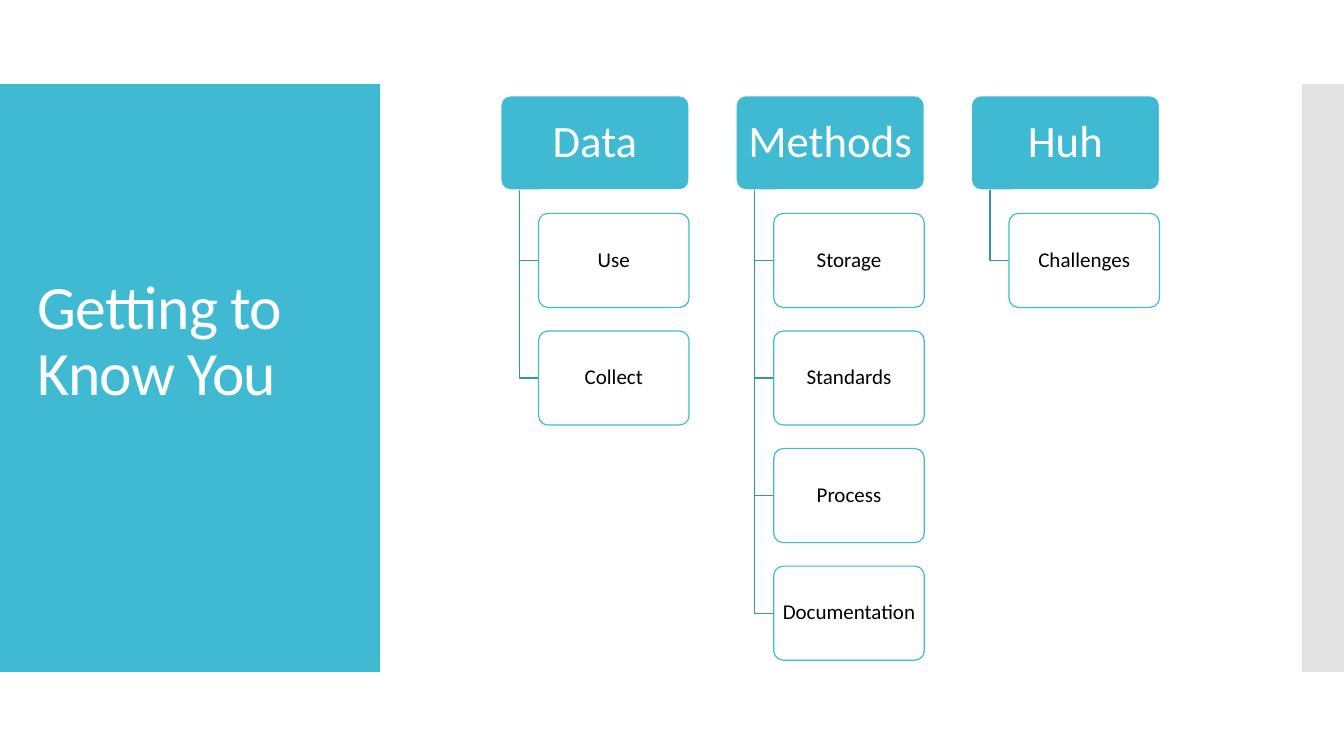
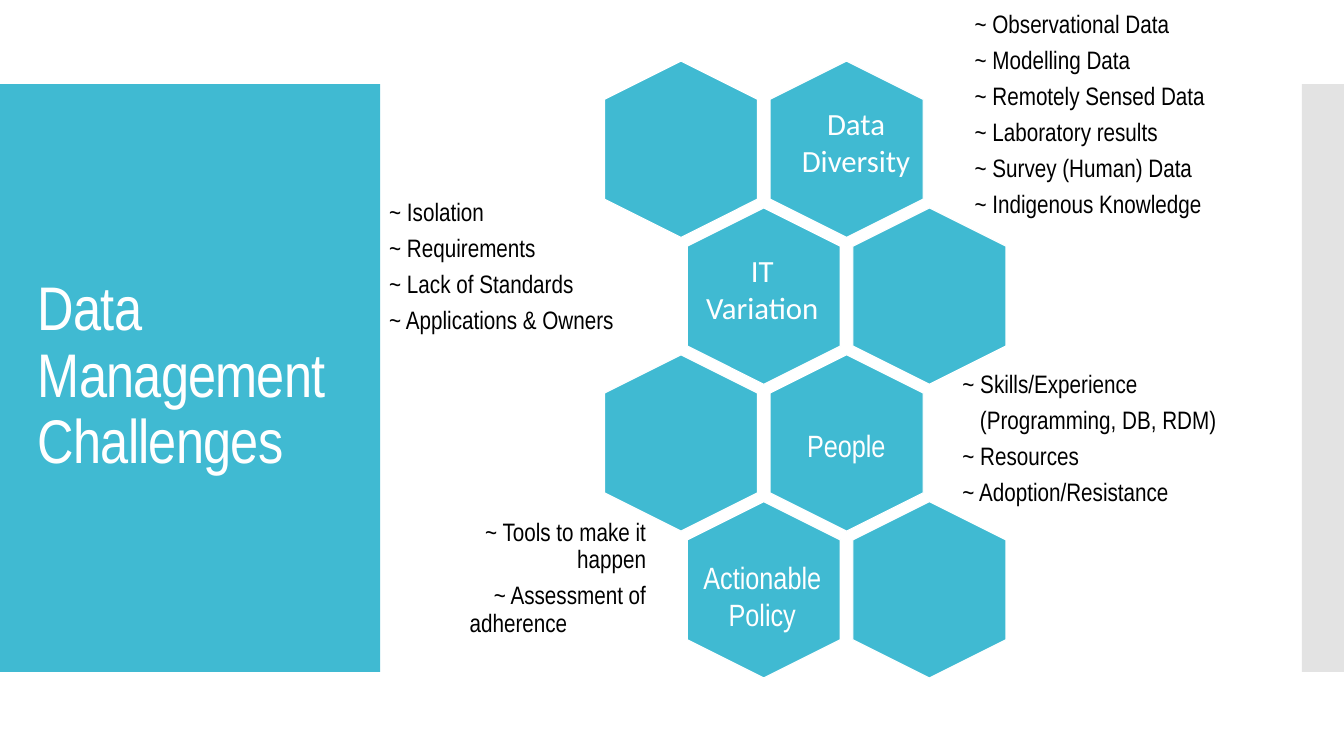
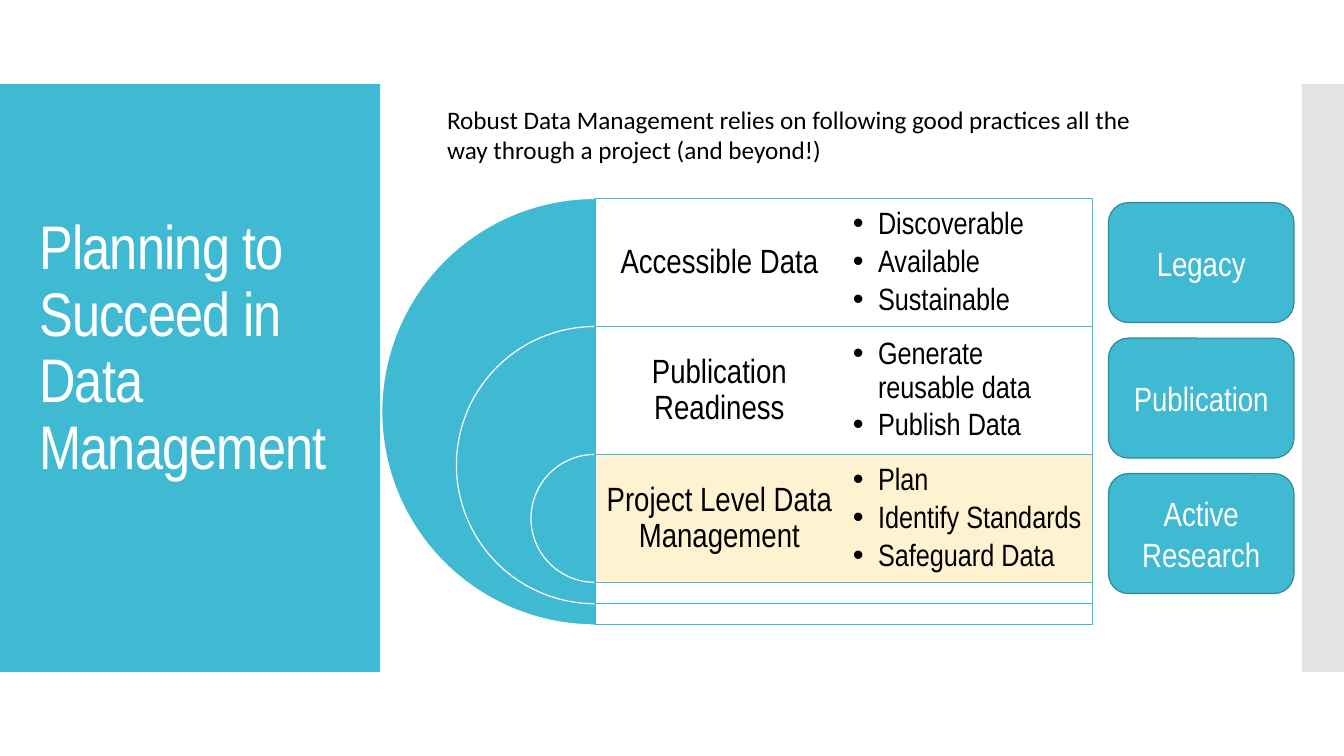
from dataclasses import dataclass

import pptx
import pptx.dml.color
import pptx.enum.shapes
import pptx.enum.text
import pptx.oxml.ns
import pptx.util
from lxml import etree

Pt = pptx.util.Pt
qn = pptx.oxml.ns.qn
Shape = pptx.enum.shapes.MSO_SHAPE
Align = pptx.enum.text.PP_ALIGN
Anchor = pptx.enum.text.MSO_ANCHOR


@dataclass(frozen=True)
class Theme:
    # Colours
    accent: str = "40BAD2"
    stem: str = "3395A8"
    edge: str = "2F8A9B"
    strip: str = "C8C8C8"
    highlight: str = "FFF1CB"
    light: str = "FFFFFF"
    dark: str = "000000"
    # Fonts and sizes
    sans: str = "Calibri"
    narrow: str = "Arial Narrow"
    title: float = 44
    heading: float = 32
    large: float = 24
    medium: float = 22
    body: float = 18
    small: float = 15
    # Lines
    hairline: float = 0.85
    tight: float = 0.9


class Builder:
    def __init__(self, theme):
        self.theme = theme
        self.deck = pptx.Presentation()
        self.deck.slide_width, self.deck.slide_height = Pt(960), Pt(540)
        self.page = None

    def new_page(self, title, frame, font):
        """Start a page with the title panel and the strip at the right."""
        theme = self.theme
        self.page = self.deck.slides.add_slide(self.deck.slide_layouts[6])
        self.shape(Shape.RECTANGLE, (0, 60, 271.5, 420), theme.accent)
        self.shape(Shape.RECTANGLE, (930, 60, 30, 420), theme.strip, opacity=50)
        box = self.text(frame, [title], theme.title, theme.light, font,
                        anchor=Anchor.MIDDLE, spacing=theme.tight)
        for span in box.text_frame.paragraphs[0].runs:
            span._r.get_or_add_rPr().set("spc", "-60")

    def color(self, value):
        return pptx.dml.color.RGBColor.from_string(value)

    def shape(self, kind, frame, fill, line=None, opacity=100, adjust=()):
        shape = self.page.shapes.add_shape(kind, *map(Pt, frame))
        shape.shadow.inherit = False
        for index, value in enumerate(adjust):
            shape.adjustments[index] = value
        shape.fill.solid()
        shape.fill.fore_color.rgb = self.color(fill)
        if opacity < 100:
            tint = shape._element.spPr.find(qn("a:solidFill"))[0]
            etree.SubElement(tint, qn("a:alpha")).set("val", str(opacity * 1000))
        self.outline(shape, line)
        return shape

    def outline(self, shape, line):
        if line is None:
            shape.line.fill.background()
        else:
            shape.line.color.rgb = self.color(line)
            shape.line.width = Pt(self.theme.hairline)

    def polyline(self, points, line):
        points = [(Pt(x), Pt(y)) for x, y in points]
        builder = self.page.shapes.build_freeform(*points[0], scale=1.0)
        builder.add_line_segments(points[1:], close=False)
        shape = builder.convert_to_shape()
        shape.shadow.inherit = False
        shape.fill.background()
        self.outline(shape, line)

    def text(self, frame, lines, *style, **options):
        box = self.page.shapes.add_textbox(*map(Pt, frame))
        self.set_text(box, lines, *style, **options)
        return box

    def set_text(self, box, lines, size, color, font, align=Align.LEFT,
                 anchor=Anchor.TOP, inset=(7.2, 3.6), spacing=1.0, after=0):
        frame = box.text_frame
        frame.text = "\n".join(lines)
        frame.word_wrap = True
        frame.vertical_anchor = anchor
        frame.margin_left = frame.margin_right = Pt(inset[0])
        frame.margin_top = frame.margin_bottom = Pt(inset[1])
        for para in frame.paragraphs:
            para.alignment = align
            para.line_spacing = spacing
            para.space_after = Pt(after)
            for span in para.runs:
                span.font.size = Pt(size)
                span.font.name = font
                span.font.color.rgb = self.color(color)

    def indent(self, para, left, hanging=0):
        properties = para._p.get_or_add_pPr()
        properties.set("marL", str(Pt(left)))
        properties.set("indent", str(Pt(-hanging)))
        return properties

    def bullets(self, box, left):
        for para in box.text_frame.paragraphs:
            properties = self.indent(para, left, left)
            etree.SubElement(properties, qn("a:buFont")).set("typeface", "Arial")
            etree.SubElement(properties, qn("a:buChar")).set("char", "•")

    def node(self, frame, label, size, color, fill, line, opacity=100):
        """Rounded box of a tree."""
        box = self.shape(Shape.ROUNDED_RECTANGLE, frame, fill, line, opacity, [0.1])
        self.set_text(box, [label], size, color, self.theme.sans, Align.CENTER,
                      Anchor.MIDDLE, (4, 3), self.theme.tight)

    def tree(self, left, top, heading, items):
        theme = self.theme
        width, height, step = 134.4, 67.2, 84
        stem, indent = left + width * 0.1, left + width * 0.2
        self.node((left, top, width, height), heading, theme.heading,
                  theme.light, theme.accent, theme.light)
        for row, item in enumerate(items, 1):
            item_top = top + row * step
            middle = item_top + height / 2
            self.polyline([(stem, top + height), (stem, middle), (indent, middle)],
                          theme.stem)
            self.node((indent, item_top, width * 0.8, height), item, theme.small,
                      theme.dark, theme.light, theme.accent, 90)

    def hexagon(self, center_x, center_y):
        width, height = 126, 109.4
        frame = (center_x - width / 2, center_y - height / 2, width, height)
        cell = self.shape(Shape.HEXAGON, frame, self.theme.accent,
                          self.theme.light, adjust=[0.25])
        cell.rotation = 90

    def notes(self, frame, lines, align=Align.LEFT):
        theme = self.theme
        box = self.text(frame, lines, theme.body, theme.dark, theme.narrow, align,
                        inset=(5, 5), spacing=theme.tight, after=6.3)
        return box.text_frame.paragraphs


def build_topics(builder):
    builder.new_page("Getting to Know You", (20, 88.5, 232, 312), builder.theme.sans)
    trees = [
        ("Data", ["Use", "Collect"]),
        ("Methods", ["Storage", "Standards", "Process", "Documentation"]),
        ("Huh", ["Challenges"]),
    ]
    for column, (heading, items) in enumerate(trees):
        builder.tree(357.8 + column * 168, 68.4, heading, items)


def build_challenges(builder):
    theme = builder.theme
    builder.new_page("Data Management Challenges", (20, 88.5, 232, 362), theme.narrow)

    # Honeycomb: every second row is shifted by half a cell
    step_x, step_y = 118.3, 104.9
    for row in range(4):
        for column in range(2):
            builder.hexagon(486.4 + (column + row % 2 / 2) * step_x,
                            106.6 + row * step_y)

    # Labels in the cells
    labels = [
        ("Data Diversity", 556, 71, theme.sans),
        ("IT Variation", 489, 176, theme.sans),
        ("People", 549, 301, theme.narrow),
        ("Actionable Policy", 489, 395.5, theme.narrow),
    ]
    for label, left, top, font in labels:
        builder.text((left, top, 111, 60.5), [label], theme.medium, theme.light,
                     font, Align.CENTER)

    # Notes beside the cells
    builder.notes((691.2, 3.4, 177, 160), [
        "~ Observational Data", "~ Modelling Data", "~ Remotely Sensed Data",
        "~ Laboratory results", "~ Survey (Human) Data", "~ Indigenous Knowledge"])
    builder.notes((273, 137.7, 184, 110), [
        "~ Isolation", "~ Requirements", "~ Lack of Standards",
        "~ Applications & Owners"])
    skills = builder.notes((682.5, 260.6, 260, 110), [
        "~ Skills/Experience", "(Programming, DB, RDM)", "~ Resources",
        "~ Adoption/Resistance"])
    builder.indent(skills[1], 12.5)
    policy = builder.notes((330.5, 366.3, 136, 100), [
        "~ Tools to make it happen", "~ Assessment of", "adherence"], Align.RIGHT)
    policy[1].space_after = Pt(0)
    policy[2].alignment = Align.LEFT


def build_planning(builder):
    theme = builder.theme
    builder.new_page("Planning to Succeed in Data Management",
                     (21, 76.3, 240.5, 347), theme.narrow)

    # Nested half discs, each with its row of text
    levels = [
        ("Accessible Data", ["Discoverable", "Available", "Sustainable"], theme.light),
        ("Publication Readiness", ["Generate reusable data", "Publish Data"],
         theme.light),
        ("Project Level Data Management",
         ["Plan", "Identify Standards", "Safeguard Data"], theme.highlight),
    ]
    left, half, step = 425, 177.6, 91.4
    for row, (name, points, fill) in enumerate(levels):
        top = 141.8 + row * step
        size = 304.6 - row * 106.6
        builder.shape(Shape.PIE, (left - size / 2, top, size, size), theme.accent,
                      theme.light, adjust=[54, 162])
        builder.shape(Shape.RECTANGLE, (left, top, 2 * half, size), fill,
                      theme.accent, 90)
        builder.text((left, top, half, step), [name], theme.large, theme.dark,
                     theme.narrow, Align.CENTER, Anchor.MIDDLE, (7.2, 7.2),
                     theme.tight, 8.4)
        box = builder.text((left + half, top, half, step), points, theme.medium,
                           theme.dark, theme.narrow, anchor=Anchor.MIDDLE,
                           inset=(6.6, 6.6), spacing=theme.tight, after=3.3)
        builder.bullets(box, 18)

    # Project stages
    for row, stage in enumerate(["Legacy", "Publication", "Active Research"]):
        box = builder.shape(Shape.ROUNDED_RECTANGLE,
                            (791.8, 144.7 + row * 96.8, 132.5, 85.7),
                            theme.accent, theme.edge)
        builder.set_text(box, [stage], theme.large, theme.light, theme.narrow,
                         Align.CENTER, Anchor.MIDDLE)

    # Introduction
    builder.text((312.3, 70.6, 507, 51),
                 ["Robust Data Management relies on following good practices all "
                  "the way through a project (and beyond!)"],
                 theme.body, theme.dark, theme.sans)


def main():
    builder = Builder(Theme())
    build_topics(builder)
    build_challenges(builder)
    build_planning(builder)
    builder.deck.save("out.pptx")


if __name__ == "__main__":
    main()
